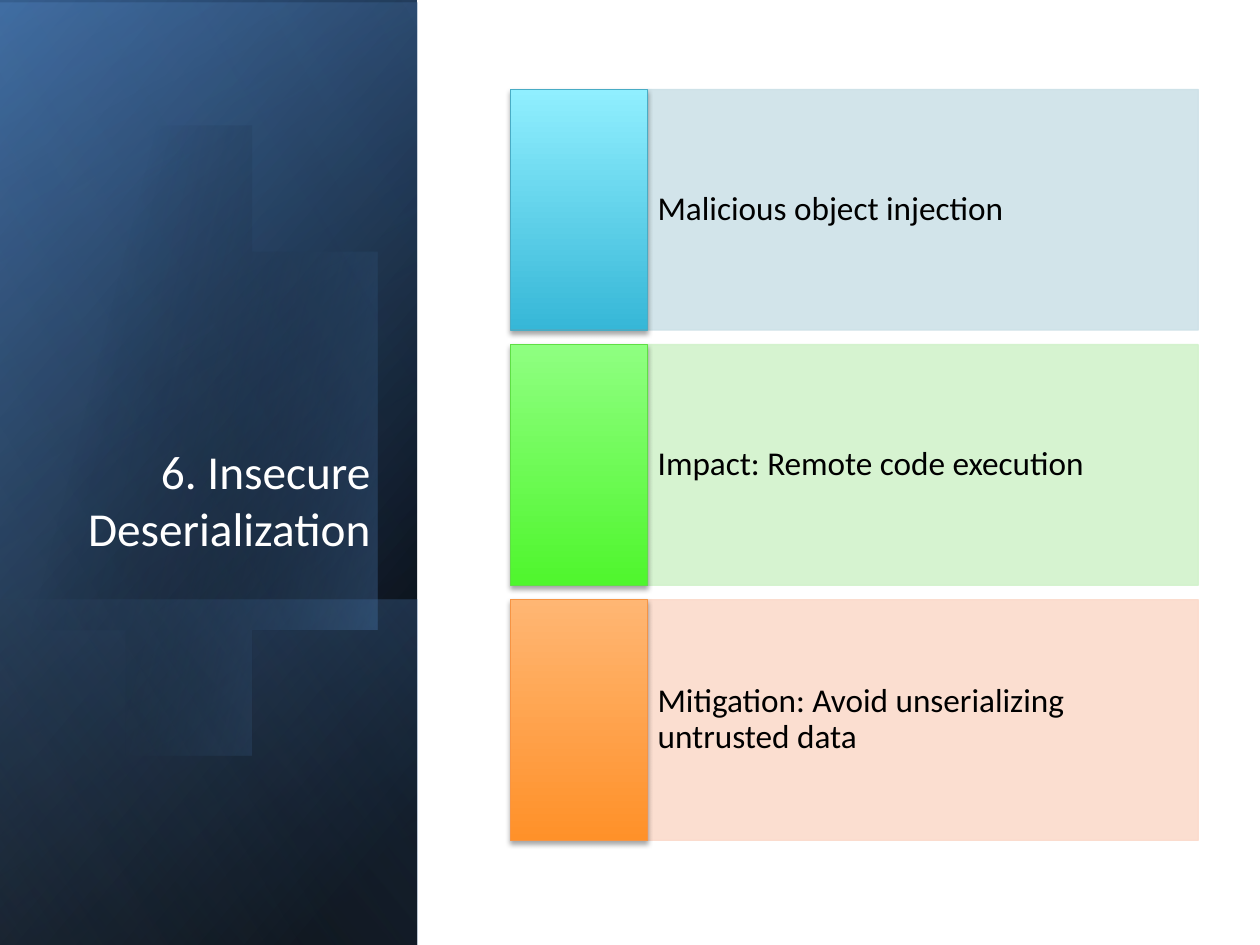
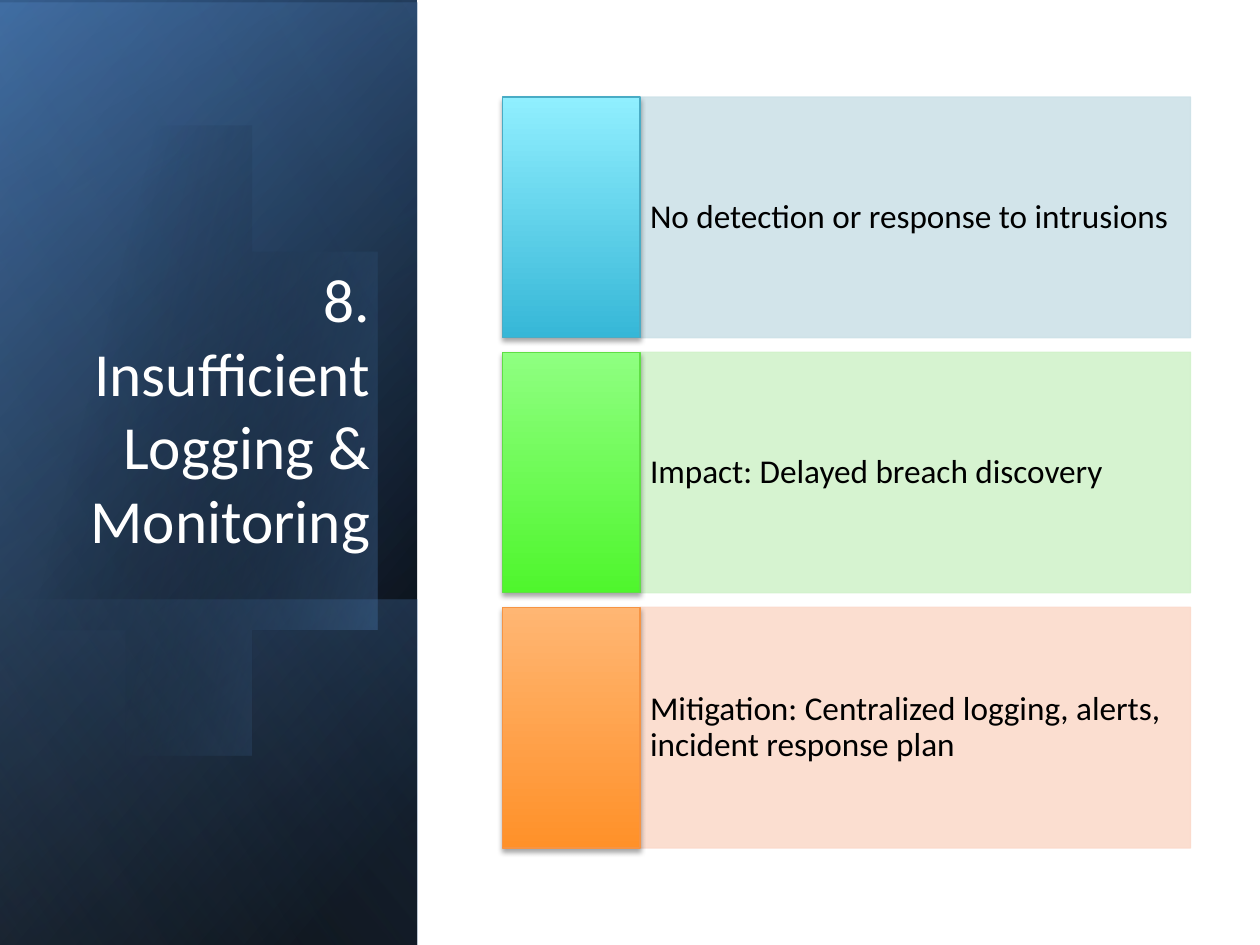
from pptx import Presentation
from pptx.dml.color import RGBColor
from pptx.enum.shapes import MSO_SHAPE
from pptx.enum.text import MSO_ANCHOR, MSO_AUTO_SIZE, PP_ALIGN
from pptx.oxml import parse_xml
from pptx.oxml.ns import nsdecls, qn
from pptx.util import Inches, Pt

TOPICS = [
    {
        "title": "6. Insecure Deserialization",
        "title_size": 27,
        "corner": (4.05, 0.71),
        "points": [
            "Malicious object injection",
            "Impact: Remote code execution",
            "Mitigation: Avoid unserializing untrusted data",
        ],
    },
    {
        "title": "8. Insufficient Logging & Monitoring",
        "title_size": 35,
        "corner": (3.99, 0.77),
        "points": [
            "No detection or response to intrusions",
            "Impact: Delayed breach discovery",
            "Mitigation: Centralized logging, alerts, incident response plan",
        ],
    },
]

FONT, TITLE_COLOR, POINT_COLOR = "Calibri", "FFFFFF", "000000"
POINT_STYLES = [
    {"bar": "CDE1E8", "low": "36B7D7", "high": "90EFFF", "edge": "49ACC5"},
    {"bar": "D2F2CB", "low": "4FF62D", "high": "8FFF81", "edge": "5FDF45"},
    {"bar": "FBDACB", "low": "FF9129", "high": "FFB673", "edge": "F69444"},
]
BAR_OPACITY = 89
TILE_WIDTH, BAR_WIDTH, ROW_HEIGHT, ROW_PITCH = 1.09, 4.37, 1.91, 2.025

# Each stop is position, colour, opacity; angles run clockwise.
BAND_WIDTH, BAND_HEIGHT = 3.31, 7.5
BASE_LAYERS = [
    (0, BAND_HEIGHT, 50, [(0, "000000", 100), (8, "000000", 100), (100, "366092", 100)]),
    (0.02, BAND_HEIGHT, 30, [(0, "000000", 0), (99, "4F81BD", 45), (100, "4F81BD", 45)]),
    (4.76, 2.74, 130, [(0, "4F81BD", 28), (2, "4F81BD", 28), (100, "000000", 29)]),
]
SHEEN_LAYER = (0, BAND_HEIGHT, 120, [(0, "000000", 0), (99, "93B3D7", 11), (100, "93B3D7", 11)])
GLOW_ANGLE = 14
GLOW_STOPS = [(0, "000000", 0), (29, "000000", 0), (100, "4F81BD", 42)]
GLOW_START = (0.96, 1.14)
GLOW_CURVES = [
    [(1.71, 1.22), (2.44, 1.92), (2.73, 2.9)],
    [(3.07, 4.12), (2.62, 5.31), (1.71, 5.57)],
    [(1.14, 5.74), (0.53, 5.5), (0.07, 5)],
    [(-0.03, 4.88)],
    [(-0.25, 1.66)],
    [(-0.15, 1.54)],
    [(0.02, 1.37), (0.22, 1.25), (0.45, 1.18)],
    [(0.62, 1.13), (0.79, 1.12), (0.96, 1.14)],
]
CURVE_STEPS = 16


def rgb(color):
    """Turn a hex string into a colour."""
    return RGBColor.from_string(color)


def add_alpha(fill_parent, opacity):
    """Make the solid fill directly below an element translucent."""
    color = fill_parent.find(qn("a:solidFill")).find(qn("a:srgbClr"))
    color.append(parse_xml(f'<a:alpha {nsdecls("a")} val="{opacity * 1000}"/>'))


def fill_gradient(shape, angle, stops):
    """Fill a shape with a linear gradient of translucent stops."""
    stop_xml = "".join(
        f'<a:gs pos="{position * 1000}"><a:srgbClr val="{color}">'
        f'<a:alpha val="{opacity * 1000}"/></a:srgbClr></a:gs>'
        for position, color, opacity in stops
    )
    gradient = parse_xml(
        f'<a:gradFill {nsdecls("a")} rotWithShape="1"><a:gsLst>{stop_xml}</a:gsLst>'
        f'<a:lin ang="{angle * 60000}" scaled="0"/></a:gradFill>'
    )
    shape.fill.background()
    properties = shape.element.spPr
    properties.replace(properties.find(qn("a:noFill")), gradient)


def add_rectangle(slide, left, top, width, height):
    """Add a rectangle without a shadow."""
    rectangle = slide.shapes.add_shape(
        MSO_SHAPE.RECTANGLE, Inches(left), Inches(top), Inches(width), Inches(height)
    )
    rectangle.shadow.inherit = False
    return rectangle


def outline(shape, color):
    """Draw a thin outline."""
    shape.line.color.rgb = rgb(color)
    shape.line.width = Pt(0.75)


def add_band_layer(slide, top, height, angle, stops):
    """Add a mirrored, quarter-turned gradient layer across the band."""
    left_shift = (BAND_WIDTH - height) / 2
    layer = add_rectangle(slide, left_shift, top - left_shift, height, BAND_WIDTH)
    layer.rotation = 90
    layer.element.spPr.find(qn("a:xfrm")).set("flipH", "1")
    layer.line.fill.background()
    fill_gradient(layer, angle, stops)


def glow_points():
    """Trace the glow's Bezier curves and straight edges as points."""
    start, points = GLOW_START, []
    for curve in GLOW_CURVES:
        if len(curve) == 1:
            points.append(curve[0])
        else:
            for step in range(1, CURVE_STEPS + 1):
                t = step / CURVE_STEPS
                weights = ((1 - t) ** 3, 3 * t * (1 - t) ** 2, 3 * t**2 * (1 - t), t**3)
                knots = (start, *curve)
                points.append(tuple(sum(w * k[axis] for w, k in zip(weights, knots)) for axis in (0, 1)))
        start = curve[-1]
    return points


def add_glow(slide):
    """Add the translucent rounded glow on the band."""
    builder = slide.shapes.build_freeform(*GLOW_START, scale=Inches(1))
    builder.add_line_segments(glow_points())
    glow = builder.convert_to_shape()
    glow.shadow.inherit = False
    glow.line.fill.background()
    fill_gradient(glow, GLOW_ANGLE, GLOW_STOPS)


def add_band(slide):
    """Build the dark band shared by the slides."""
    for layer in BASE_LAYERS:
        add_band_layer(slide, *layer)
    add_glow(slide)
    add_band_layer(slide, *SHEEN_LAYER)


def style_text(frame, size, color, anchor):
    """Format a text frame that holds one paragraph."""
    frame.word_wrap = True
    frame.auto_size = MSO_AUTO_SIZE.NONE
    frame.vertical_anchor = anchor
    paragraph = frame.paragraphs[0]
    paragraph.font.name = FONT
    paragraph.font.size = Pt(size)
    paragraph.font.color.rgb = rgb(color)
    return paragraph


def place_title(slide, text, size):
    """Set the title in front of the band."""
    title = slide.shapes.title
    slide.shapes.element.append(title.element)
    title.left, title.top, title.width, title.height = map(Inches, (0.48, 1.84, 2.56, 2.62))
    title.text_frame.text = text
    style_text(title.text_frame, size, TITLE_COLOR, MSO_ANCHOR.BOTTOM).alignment = PP_ALIGN.RIGHT


def add_point(slide, left, top, text, style):
    """Add a pale bar with its text and the bright tile beside it."""
    bar = add_rectangle(slide, left + TILE_WIDTH, top, BAR_WIDTH, ROW_HEIGHT)
    bar.fill.solid()
    bar.fill.fore_color.rgb = rgb(style["bar"])
    outline(bar, style["bar"])
    properties = bar.element.spPr
    add_alpha(properties, BAR_OPACITY)
    add_alpha(properties.find(qn("a:ln")), BAR_OPACITY)
    frame = bar.text_frame
    frame.text = text
    frame.margin_left = frame.margin_right = Inches(0.08)
    frame.margin_top = frame.margin_bottom = Inches(0.49)
    paragraph = style_text(frame, 19, POINT_COLOR, MSO_ANCHOR.MIDDLE)
    paragraph.alignment = PP_ALIGN.LEFT
    paragraph.line_spacing = 0.9

    tile = add_rectangle(slide, left, top, TILE_WIDTH, ROW_HEIGHT)
    fill_gradient(tile, 270, [(0, style["low"], 100), (100, style["high"], 100)])
    outline(tile, style["edge"])
    tile.element.spPr.find(qn("a:effectLst")).append(parse_xml(
        f'<a:outerShdw {nsdecls("a")} blurRad="{Pt(3.1)}" dist="{Pt(1.8)}" dir="5400000" '
        'rotWithShape="0"><a:srgbClr val="000000"><a:alpha val="35000"/></a:srgbClr></a:outerShdw>'
    ))


def main():
    """Build and save the presentation."""
    presentation = Presentation()
    presentation.slide_width, presentation.slide_height = Inches(10), Inches(7.5)
    title_only = presentation.slide_layouts[5]
    for topic in TOPICS:
        slide = presentation.slides.add_slide(title_only)
        add_band(slide)
        place_title(slide, topic["title"], topic["title_size"])
        left, top = topic["corner"]
        for row, (text, style) in enumerate(zip(topic["points"], POINT_STYLES)):
            add_point(slide, left, top + row * ROW_PITCH, text, style)
    presentation.save("out.pptx")


if __name__ == "__main__":
    main()
